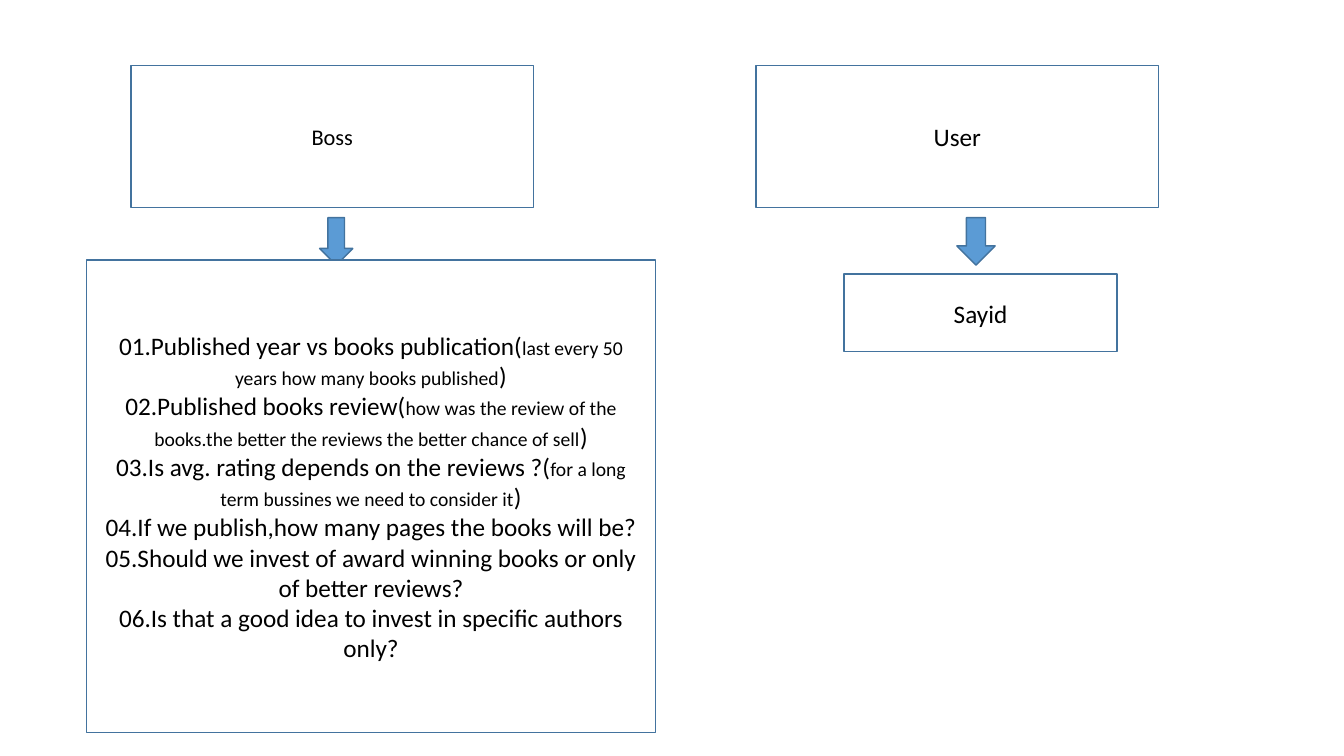
from pptx import Presentation, util as u
from pptx.dml.color import RGBColor
from pptx.enum import shapes, text

WHITE = RGBColor(0xFF, 0xFF, 0xFF)
BLACK = RGBColor(0, 0, 0)
BLUE = RGBColor(0x5B, 0x9B, 0xD5)
DARK_BLUE = RGBColor(0x43, 0x73, 0x9E)
FONT = "Calibri"
BODY, DETAIL, BOSS = 18, 14, 16

SLIDE_WIDTH, SLIDE_HEIGHT = 13.33, 7.5
HEAD_TOP, HEAD_WIDTH, HEAD_HEIGHT = 0.65, 3.99, 1.41
ARROW_TOP, ARROW_HEIGHT = 2.16, 0.47

# Each question: main words, then an optional smaller detail in brackets
QUESTIONS = [
    ("01.Published year vs books publication",
     "last every 50 years how many books published"),
    ("02.Published books review",
     "how was the review of the books.the better the reviews "
     "the better chance of sell"),
    ("03.Is avg. rating depends on the reviews ?",
     "for a long term bussines we need to consider it"),
    ("04.If we publish,how many pages the books will be?", None),
    ("05.Should we invest of award winning books or only of better reviews?", None),
    ("06.Is that a good idea to invest in specific authors only?", None),
]


def question_runs(question, detail):
    """Return one question as (words, size) runs."""
    if detail is None:
        return [(question, BODY)]
    return [(question + "(", BODY), (detail, DETAIL), (")", BODY)]


def add_outlined(slide, kind, box, fill):
    """Add a filled shape with the shared outline; box is in inches."""
    shape = slide.shapes.add_shape(kind, *(u.Inches(length) for length in box))
    shape.shadow.inherit = False
    shape.fill.solid()
    shape.fill.fore_color.rgb = fill
    shape.line.color.rgb = DARK_BLUE
    shape.line.width = u.Pt(1)
    return shape


def add_text_box(slide, box, paragraphs):
    """Add a white rectangle with centred paragraphs of (words, size) runs."""
    shape = add_outlined(slide, shapes.MSO_SHAPE.RECTANGLE, box, WHITE)
    frame = shape.text_frame
    frame.word_wrap = True
    frame.vertical_anchor = text.MSO_ANCHOR.MIDDLE
    for index, runs in enumerate(paragraphs):
        paragraph = frame.add_paragraph() if index else frame.paragraphs[0]
        paragraph.alignment = text.PP_ALIGN.CENTER
        for words, size in runs:
            run = paragraph.add_run()
            run.text = words
            run.font.name = FONT
            run.font.size = u.Pt(size)
            run.font.color.rgb = BLACK


def add_role(slide, left, heading, arrow_offset, arrow_width, detail_box, details):
    """Add one role: heading, down arrow and detail box, offset from left."""
    add_text_box(slide, (left, HEAD_TOP, HEAD_WIDTH, HEAD_HEIGHT), [[heading]])
    arrow_box = (left + arrow_offset, ARROW_TOP, arrow_width, ARROW_HEIGHT)
    add_outlined(slide, shapes.MSO_SHAPE.DOWN_ARROW, arrow_box, BLUE)
    offset, top, width, height = detail_box
    add_text_box(slide, (left + offset, top, width, height), details)


presentation = Presentation()
presentation.slide_width = u.Inches(SLIDE_WIDTH)
presentation.slide_height = u.Inches(SLIDE_HEIGHT)
slide = presentation.slides.add_slide(presentation.slide_layouts[6])
add_role(slide, 1.3, ("Boss", BOSS), 1.87, 0.33, (-0.44, 2.58, 5.64, 4.69),
         [question_runs(*question) for question in QUESTIONS])
add_role(slide, 7.5, ("User", BODY), 1.99, 0.38, (0.87, 2.72, 2.71, 0.77),
         [[("Sayid", BODY)]])
presentation.save("out.pptx")
